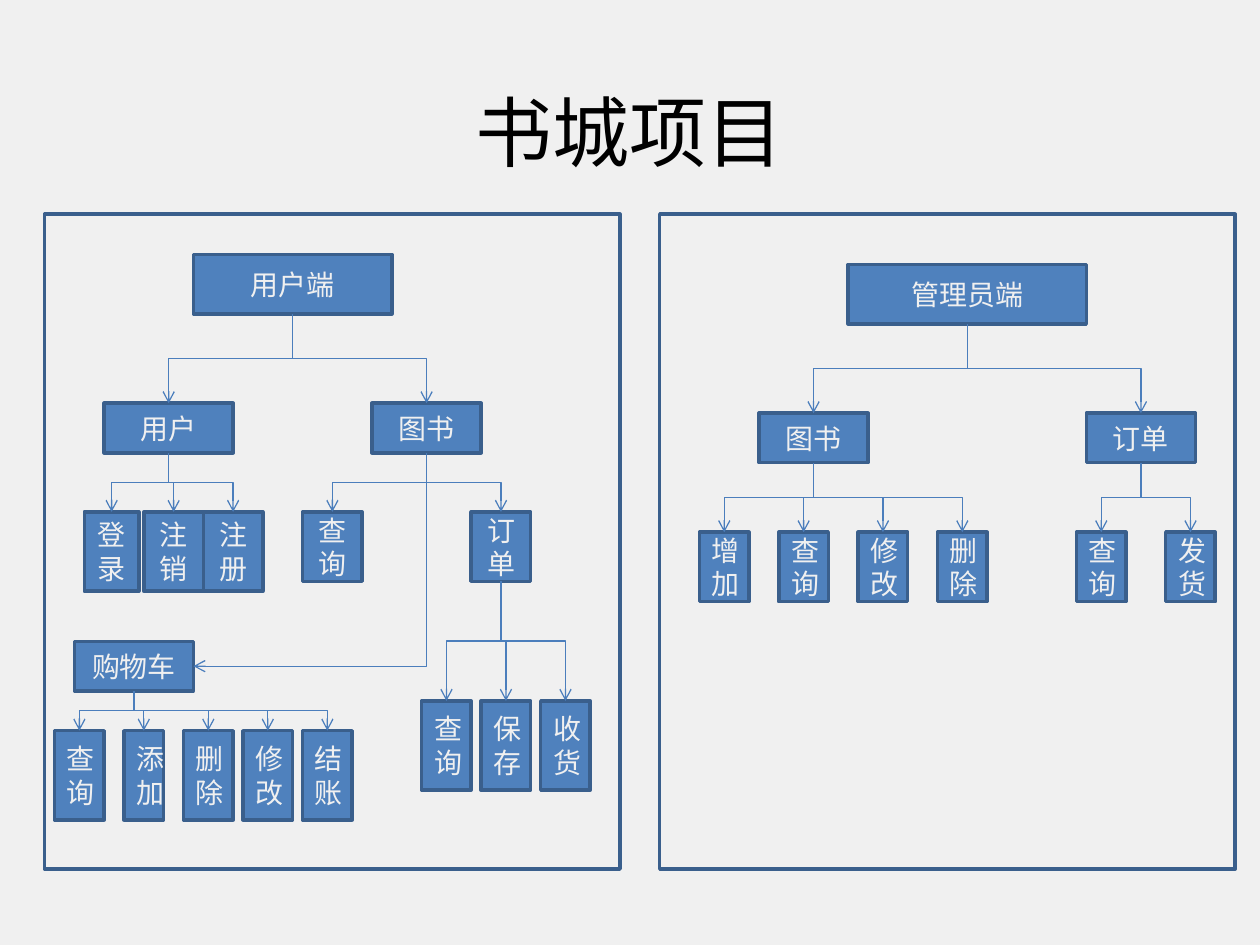
from lxml.etree import SubElement
from pptx import Presentation
from pptx.dml.color import RGBColor
from pptx.enum.shapes import MSO_CONNECTOR, MSO_SHAPE
from pptx.enum.text import MSO_ANCHOR, PP_ALIGN
from pptx.oxml.ns import qn
from pptx.util import Cm, Pt


def write_text(shape, text, size=16, color="F0F0F0", font="Calibri"):
    frame = shape.text_frame
    frame.word_wrap = True
    frame.vertical_anchor = MSO_ANCHOR.MIDDLE
    paragraph = frame.paragraphs[0]
    paragraph.alignment = PP_ALIGN.CENTER
    run = paragraph.add_run()
    run.text = text
    run.font.size = Pt(size)
    run.font.name = font
    run.font.color.rgb = RGBColor.from_string(color)


def paint(shape, line, width, fill=None):
    """Set the line and fill; a shape without fill is a connector with an arrow."""
    shape.line.color.rgb = RGBColor.from_string(line)
    shape.line.width = Pt(width)
    if fill:
        shape.shadow.inherit = False
        shape.fill.solid()
        shape.fill.fore_color.rgb = RGBColor.from_string(fill)
    else:
        SubElement(shape.line._get_or_add_ln(), qn("a:tailEnd"), type="arrow")
        SubElement(shape._element.spPr, qn("a:effectLst"))


presentation = Presentation()
presentation.slide_width = Cm(25.4)
presentation.slide_height = Cm(19.05)
slide = presentation.slides.add_slide(presentation.slide_layouts[6])
slide.background.fill.solid()
slide.background.fill.fore_color.rgb = RGBColor.from_string("F0F0F0")

# Panels for the admin side and the user side
for left in (13.3, 0.9):
    panel = slide.shapes.add_shape(
        MSO_SHAPE.RECTANGLE, Cm(left), Cm(4.32), Cm(11.6), Cm(13.2))
    paint(panel, "3A5F8C", 2, "F0F0F0")

# Title
title = slide.shapes.add_textbox(Cm(1.27), Cm(1.32), Cm(22.86), Cm(2.62))
write_text(title, "书城项目", size=44, color="000000")

# Groups: side, parent, top, height, then children as (text, left, width)
groups = [
    ("user", None, 5.13, 1.2, [("用户端", 3.9, 4)]),
    ("user", "用户端", 8.13, 1, [("用户", 2.1, 2.6), ("图书", 7.5, 2.2)]),
    ("user", "用户", 10.32, 1.6,
     [("登录", 1.7, 1.1), ("注册", 4.1, 1.2), ("注销", 2.9, 1.2)]),
    ("user", "图书", 10.32, 1.4, [("查询", 6.1, 1.2), ("订单", 9.5, 1.2)]),
    ("user", "图书", 12.93, 1, [("购物车", 1.5, 2.4)]),
    ("user", "购物车", 14.73, 1.8,
     [("查询", 1.1, 1), ("添加", 2.5, 0.8), ("删除", 3.7, 1),
      ("修改", 4.9, 1), ("结账", 6.1, 1)]),
    ("user", "订单", 14.13, 1.8,
     [("查询", 8.5, 1), ("保存", 9.7, 1), ("收货", 10.9, 1)]),
    ("admin", None, 5.33, 1.2, [("管理员端", 17.1, 4.8)]),
    ("admin", "管理员端", 8.33, 1, [("图书", 15.3, 2.2), ("订单", 21.9, 2.2)]),
    ("admin", "图书", 10.73, 1.4,
     [("增加", 14.1, 1), ("查询", 15.7, 1), ("修改", 17.3, 1), ("删除", 18.9, 1)]),
    ("admin", "订单", 10.73, 1.4, [("查询", 21.7, 1), ("发货", 23.5, 1)]),
]

# Boxes
boxes = {}
links = []
for side, parent, top, height, children in groups:
    for text, left, width in children:
        box = slide.shapes.add_shape(
            MSO_SHAPE.RECTANGLE, Cm(left), Cm(top), Cm(width), Cm(height))
        paint(box, "3A5F8C", 2, "4F81BD")
        write_text(box, text)
        boxes[side, text] = box
        if parent:
            links.append((boxes[side, parent], box, text))

# Arrows from each parent down to its children
for parent, child, text in links:
    start_x = parent.left + parent.width // 2
    start_y = parent.top + parent.height
    end_x, end_y = child.left + child.width // 2, child.top

    # A straight branch drops from the middle of the trunk
    if text == "注销":
        arrow = slide.shapes.add_connector(
            MSO_CONNECTOR.STRAIGHT, end_x, (start_y + end_y) // 2, end_x, end_y)
        arrow.end_connect(child, 0)
        paint(arrow, "4B7EBC", 0.75)
        continue

    # The cart is entered from its right side
    end_site = 0
    if text == "购物车":
        end_site = 3
        end_x, end_y = child.left + child.width, child.top + child.height // 2

    arrow = slide.shapes.add_connector(
        MSO_CONNECTOR.ELBOW, start_x, start_y, end_x, end_y)
    arrow.begin_connect(parent, 2)
    arrow.end_connect(child, end_site)
    paint(arrow, "4B7EBC", 0.75)

    # Turn the elbow a quarter so that it leaves downwards
    run, drop = abs(end_x - start_x), end_y - start_y
    to_right = end_x > start_x
    arrow.width, arrow.height = drop, run
    arrow.left = (start_x + end_x - drop) // 2
    arrow.top = (start_y + end_y - run) // 2
    transform = arrow._element.spPr.find(qn("a:xfrm"))
    transform.set("rot", "16200000" if to_right else "5400000")
    transform.set("flipH", "1" if to_right else "0")
    transform.set("flipV", "0")
    if end_site == 3:
        arrow._element.spPr.find(qn("a:prstGeom")).set("prst", "bentConnector2")

presentation.save("out.pptx")
